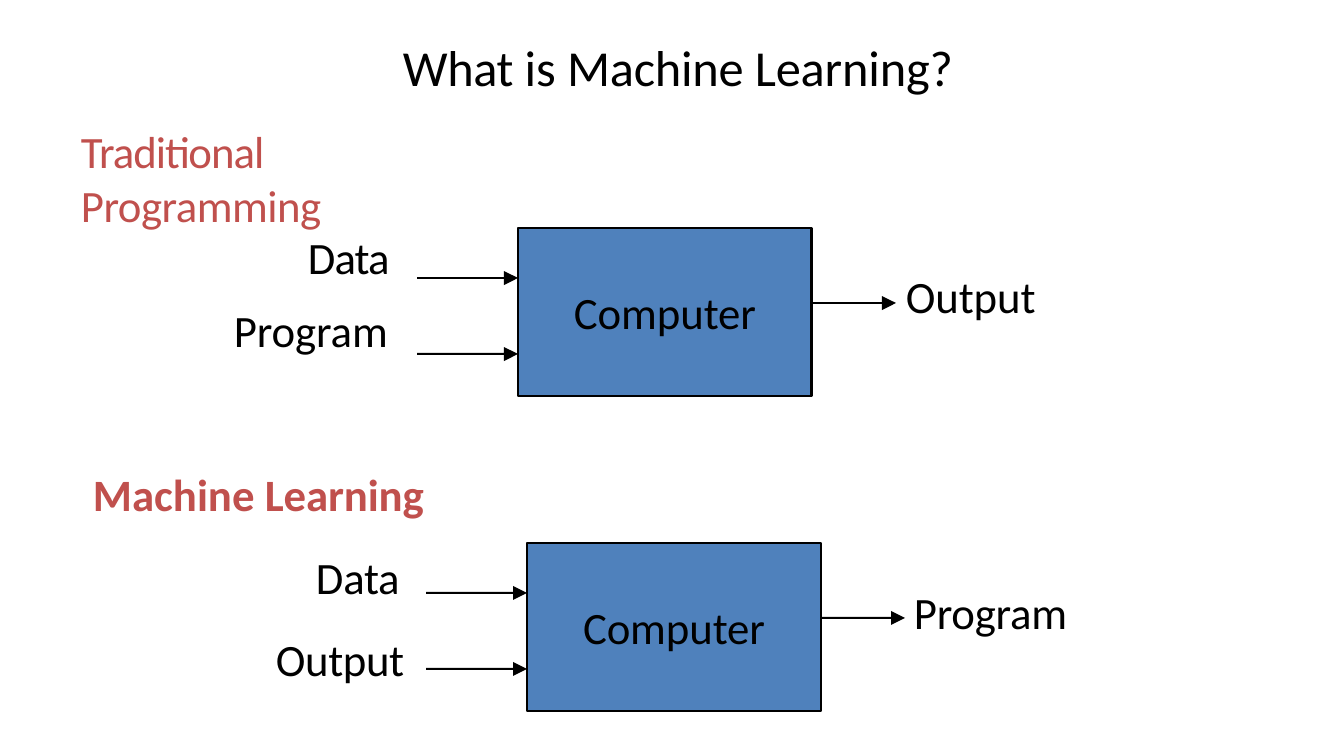
from pptx import Presentation
from pptx import util as u
from pptx.dml.color import RGBColor
from pptx.enum import shapes, text

PX = 12192000 / 1344


def px(*lengths):
    return [u.Emu(round(n * PX)) for n in lengths]


def write(sp, runs, size=32, color="000000", bold=False, inset=(0, 0),
          align=text.PP_ALIGN.LEFT, anchor=text.MSO_ANCHOR.TOP):
    tf = sp.text_frame
    tf.word_wrap = True
    tf.auto_size = text.MSO_AUTO_SIZE.NONE
    tf.margin_left, tf.margin_top = px(*inset)
    tf.margin_right = tf.margin_bottom = 0
    tf.vertical_anchor = anchor
    p = tf.paragraphs[0]
    p.alignment = align
    p.font.name = "Calibri"
    p.font.size = u.Pt(size)
    p.font.bold = bold
    p.font.color.rgb = RGBColor.from_string(color)
    for words, spacing in runs:
        r = p.add_run()
        r.text = words
        r._r.get_or_add_rPr().set("spc", str(spacing))


prs = Presentation()
prs.slide_width, prs.slide_height = px(1344, 756)
s = prs.slides.add_slide(prs.slide_layouts[5])

title = s.shapes.title
title.left, title.top, title.width, title.height = px(171, 11, 1001, 111)
write(title, [("What ", -30), ("is ", 0), ("Machine ", -20), ("Learning?", -10)],
      size=36, inset=(232, 25))

headings = [
    ([("Traditional ", -70), ("Programming", -40)], 81, 124, 428, 110, False),
    ([("Machine ", 0), ("Learning", -10)], 93, 467, 333, 55, True),
]
for runs, x, y, w, h, bold in headings:
    sp = s.shapes.add_textbox(*px(x, y, w, h))
    write(sp, runs, color="C0504D", bold=bold)

diagrams = [
    (518, 228, [("Data", 308, 230, -70), ("Program", 234, 303, -10), ("Output", 906, 269, -10)]),
    (527, 543, [("Data", 316, 550, -20), ("Output", 276, 632, -30), ("Program", 914, 585, -20)]),
]
BOX_W, BOX_H = 294, 168
HEAD, HALF_HEAD, HALF_SHAFT = 14, 7, 1.4
for left, top, labels in diagrams:
    box = s.shapes.add_shape(shapes.MSO_SHAPE.RECTANGLE, *px(left, top, BOX_W, BOX_H))
    box.shadow.inherit = False
    box.fill.solid()
    box.fill.fore_color.rgb = RGBColor.from_string("4F81BC")
    box.line.color.rgb = RGBColor.from_string("000000")
    box.line.width = u.Pt(2)
    write(box, [("Computer", -10)], align=text.PP_ALIGN.CENTER, anchor=text.MSO_ANCHOR.MIDDLE)

    right = left + BOX_W
    arrows = [(left - 101, left, 50), (left - 101, left, 126), (right, right + 84, 75)]
    for start, tip, drop in arrows:
        y, neck = top + drop, tip - HEAD
        outline = [
            (neck, y - HALF_HEAD), (neck, y - HALF_SHAFT), (start, y - HALF_SHAFT),
            (start, y + HALF_SHAFT), (neck, y + HALF_SHAFT), (neck, y + HALF_HEAD), (tip, y),
        ]
        fb = s.shapes.build_freeform(*outline[0], scale=PX)
        fb.add_line_segments(outline[1:], close=True)
        arrow = fb.convert_to_shape()
        arrow.shadow.inherit = False
        arrow.fill.solid()
        arrow.fill.fore_color.rgb = RGBColor.from_string("000000")
        arrow.line.fill.background()

    for words, x, y, spacing in labels:
        sp = s.shapes.add_textbox(*px(x, y, 160, 55))
        write(sp, [(words, spacing)])

prs.save("out.pptx")
